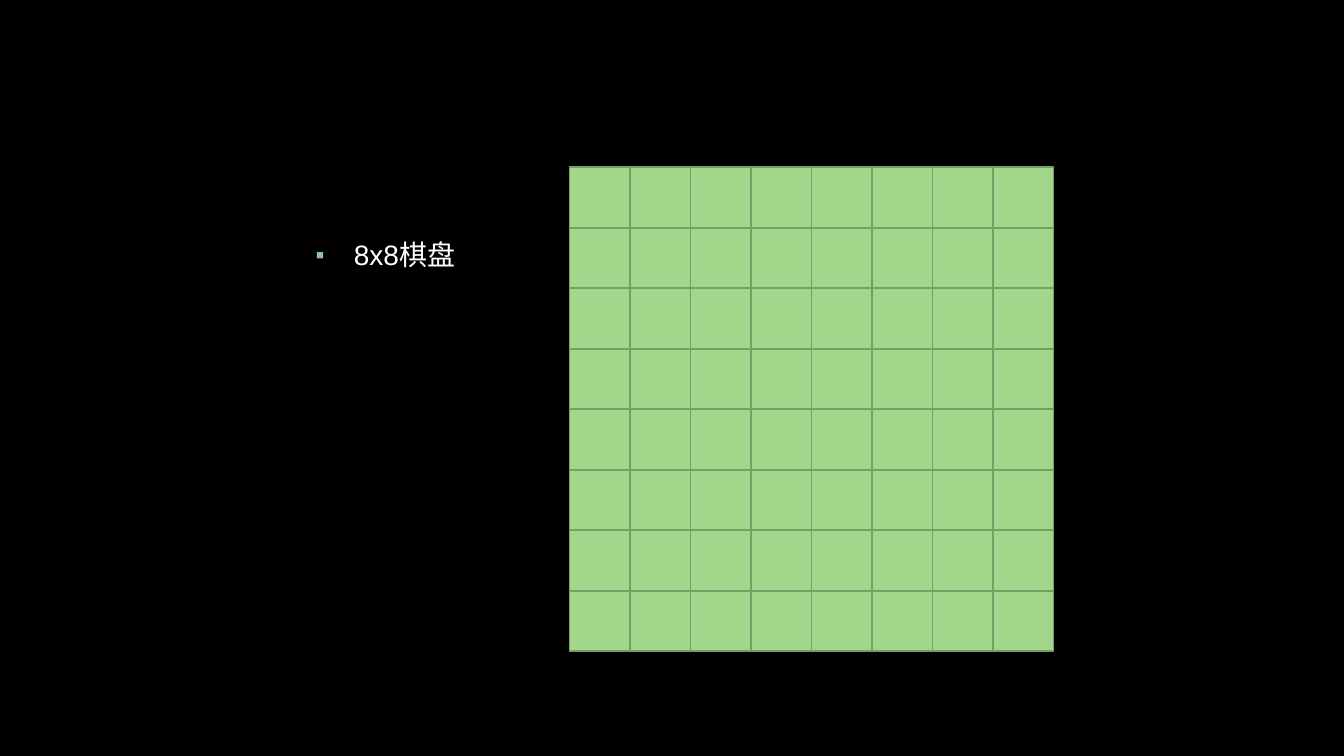
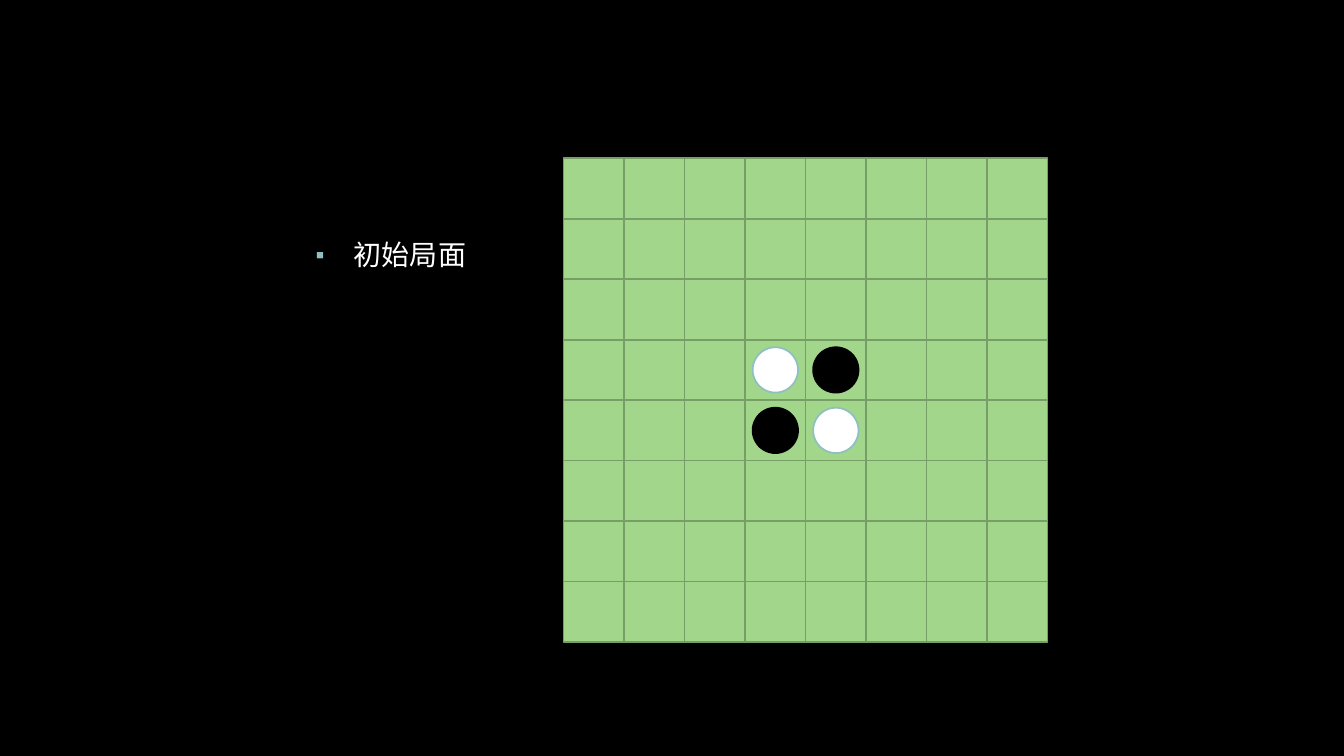
from itertools import product

from lxml import etree
from pptx import Presentation
from pptx.dml.color import RGBColor
from pptx.enum import shapes, text
from pptx.oxml import ns
from pptx.util import Inches, Pt

BLACK = RGBColor(0x00, 0x00, 0x00)
WHITE = RGBColor(0xFF, 0xFF, 0xFF)
TEAL = RGBColor(0x8E, 0xC0, 0xC1)
GREEN = RGBColor(0xA1, 0xD6, 0x8B)
DARK_GREEN = RGBColor(0x77, 0x9E, 0x67)

FONT = "Arial"
GRID = 8
CELL = Inches(0.6)
DISC = Inches(0.45)
BODY = (Inches(3.03), Inches(2.24), Inches(8.53), Inches(4.37))
START_DISCS = [
    (4, 4, WHITE, TEAL),
    (3, 3, WHITE, TEAL),
    (4, 3, BLACK, BLACK),
    (3, 4, BLACK, BLACK),
]


def add_bullet(p):
    pPr = p._p.get_or_add_pPr()
    pPr.set("marL", str(Inches(0.38)))
    pPr.set("indent", str(-Inches(0.38)))
    color = etree.SubElement(pPr, ns.qn("a:buClr"))
    etree.SubElement(color, ns.qn("a:srgbClr"), val=str(TEAL))
    etree.SubElement(pPr, ns.qn("a:buSzPct"), val="90000")
    etree.SubElement(pPr, ns.qn("a:buFont"), typeface=FONT)
    etree.SubElement(pPr, ns.qn("a:buChar"), char="▪")


def add_body(s, box, caption):
    sp = s.placeholders[1]
    sp.left, sp.top, sp.width, sp.height = box
    tf = sp.text_frame
    tf.auto_size = text.MSO_AUTO_SIZE.NONE
    tf.vertical_anchor = text.MSO_ANCHOR.TOP
    p = tf.paragraphs[0]
    p.line_spacing = 1.2
    p.space_before = Pt(10)
    p.space_after = Pt(6)
    add_bullet(p)
    r = p.add_run()
    r.text = caption
    r.font.name = FONT
    r.font.size = Pt(20)
    r.font.color.rgb = WHITE


def add_piece(s, kind, left, top, size, fill, line):
    sp = s.shapes.add_shape(kind, left, top, size, size)
    sp.shadow.inherit = False
    sp.fill.solid()
    sp.fill.fore_color.rgb = fill
    sp.line.color.rgb = line
    sp.line.width = Pt(1.25)


def add_board(s, left, top, discs):
    for row, col in product(range(GRID), repeat=2):
        add_piece(s, shapes.MSO_SHAPE.RECTANGLE, left + col * CELL,
                  top + row * CELL, CELL, GREEN, DARK_GREEN)
    inset = (CELL - DISC) // 2
    for col, row, fill, line in discs:
        add_piece(s, shapes.MSO_SHAPE.OVAL, left + col * CELL + inset,
                  top + row * CELL + inset, DISC, fill, line)


def add_board_slide(prs, caption, left, top, discs=()):
    s = prs.slides.add_slide(prs.slide_layouts[1])
    title = s.shapes.title.element
    title.getparent().remove(title)
    add_body(s, BODY, caption)
    add_board(s, left, top, discs)


def main():
    prs = Presentation()
    prs.slide_width, prs.slide_height = Inches(13.33), Inches(7.5)
    background = prs.slide_master.background.fill
    background.solid()
    background.fore_color.rgb = BLACK
    add_board_slide(prs, "8x8棋盘", Inches(5.65), Inches(1.66))
    add_board_slide(prs, "初始局面", Inches(5.59), Inches(1.57), START_DISCS)
    prs.save("out.pptx")


if __name__ == "__main__":
    main()
